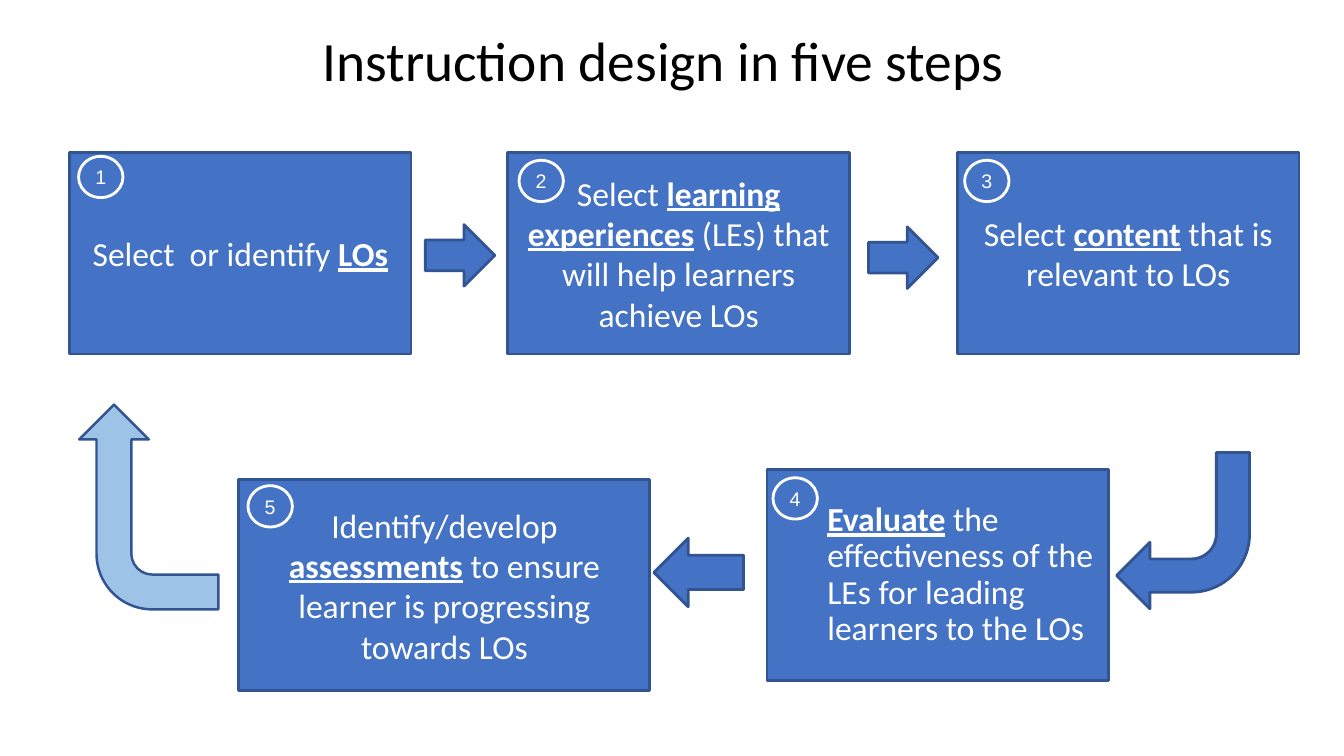
from dataclasses import dataclass

from pptx import Presentation
from pptx import util as u
from pptx.dml.color import RGBColor
from pptx.enum import shapes, text

Cm, Pt = u.Cm, u.Pt
Kind = shapes.MSO_SHAPE

BLUE = RGBColor(0x44, 0x72, 0xC4)
LIGHT_BLUE = RGBColor(0x9D, 0xC3, 0xE6)
OUTLINE = RGBColor(0x32, 0x54, 0x91)
WHITE = RGBColor(0xFF, 0xFF, 0xFF)
BLACK = RGBColor(0x00, 0x00, 0x00)


@dataclass
class Step:
    box: tuple[float, float, float, float]
    badge_offset: tuple[float, float]
    before: str
    key: str
    after: str = ""
    indented: bool = False


@dataclass
class Arrow:
    kind: Kind
    box: tuple[float, float, float, float]
    rotation: int = 0
    fill: RGBColor = BLUE
    line_width: float = 2
    bend: float | None = None


STEPS = [
    Step((1.75, 3.84, 8.61, 5.08), (0.23, 0.1), "Select  or identify ", "LOs"),
    Step((12.8, 3.84, 8.61, 5.08), (0.28, 0.2), "Select ", "learning experiences",
         " (LEs) that will help learners achieve LOs"),
    Step((24.13, 3.84, 8.61, 5.08), (0.18, 0.2), "Select ", "content",
         " that is relevant to LOs"),
    Step((19.33, 11.84, 8.61, 5.31), (0.15, 0.2), "", "Evaluate",
         " the effectiveness of the LEs for leading learners to the LOs", indented=True),
    Step((6.02, 12.09, 10.36, 5.31), (0.23, 0.15), "Identify/develop ", "assessments",
         " to ensure learner is progressing towards LOs"),
]

ARROWS = [
    Arrow(Kind.RIGHT_ARROW, (10.72, 5.66, 1.75, 1.55)),
    Arrow(Kind.RIGHT_ARROW, (21.89, 5.72, 1.75, 1.55)),
    Arrow(Kind.BENT_ARROW, (28.14, 11.4, 3.35, 3.94), rotation=180),
    Arrow(Kind.BENT_ARROW, (1.17, 11.02, 5.16, 3.51), rotation=270,
          fill=LIGHT_BLUE, line_width=1.75, bend=0.4),
    Arrow(Kind.LEFT_ARROW, (16.48, 13.56, 2.26, 1.73)),
]


def add_shape(s, kind: Kind, box: tuple, fill: RGBColor = BLUE,
              line: RGBColor = OUTLINE, line_width: float = 2):
    sp = s.shapes.add_shape(kind, *(Cm(v) for v in box))
    sp.shadow.inherit = False
    sp.fill.solid()
    sp.fill.fore_color.rgb = fill
    sp.line.color.rgb = line
    sp.line.width = Pt(line_width)
    return sp


def set_font(p, name: str, size: float, color: RGBColor) -> None:
    p.font.name = name
    p.font.size = Pt(size)
    p.font.color.rgb = color


def set_margins(tf, margin: int) -> None:
    tf.margin_left = tf.margin_right = tf.margin_top = tf.margin_bottom = margin


def add_step(s, number: int, step: Step) -> None:
    tf = add_shape(s, Kind.RECTANGLE, step.box).text_frame
    tf.word_wrap = True
    tf.vertical_anchor = text.MSO_ANCHOR.MIDDLE
    p = tf.paragraphs[0]
    p.alignment = text.PP_ALIGN.CENTER
    if step.indented:
        p.alignment = text.PP_ALIGN.LEFT
        p.line_spacing = 0.9
        p._p.get_or_add_pPr().set("marL", str(Cm(1.27)))
    set_font(p, "Calibri", 24, WHITE)
    for part in filter(None, (step.before, step.key, step.after)):
        r = p.add_run()
        r.text = part
        if part == step.key:
            r.font.bold = r.font.underline = True

    left, top = (a + b for a, b in zip(step.box, step.badge_offset))
    badge = add_shape(s, Kind.OVAL, (left, top, 1.12, 1.04), line=WHITE)
    tf = badge.text_frame
    set_margins(tf, 0)
    tf.word_wrap = False
    tf.vertical_anchor = text.MSO_ANCHOR.MIDDLE
    p = tf.paragraphs[0]
    p.text = str(number)
    p.alignment = text.PP_ALIGN.CENTER
    set_font(p, "Arial", 14, WHITE)


def add_arrow(s, arrow: Arrow) -> None:
    sp = add_shape(s, arrow.kind, arrow.box, arrow.fill, line_width=arrow.line_width)
    sp.rotation = arrow.rotation
    if arrow.bend is not None:
        sp.adjustments[3] = arrow.bend


def set_title(s, title: str) -> None:
    sp = s.shapes.title
    sp.left, sp.top, sp.width, sp.height = Cm(8.13), Cm(0.91), Cm(18.57), Cm(1.4)
    tf = sp.text_frame
    set_margins(tf, 0)
    tf.auto_size = text.MSO_AUTO_SIZE.NONE
    tf.vertical_anchor = text.MSO_ANCHOR.MIDDLE
    p = tf.paragraphs[0]
    p.text = title
    p.alignment = text.PP_ALIGN.LEFT
    p.line_spacing = 0.9
    set_font(p, "Calibri", 39.6, BLACK)


def main() -> None:
    prs = Presentation()
    prs.slide_width, prs.slide_height = Cm(33.87), Cm(19.05)
    s = prs.slides.add_slide(prs.slide_layouts[5])
    set_title(s, "Instruction design in five steps")
    for number, step in enumerate(STEPS, start=1):
        add_step(s, number, step)
    for arrow in ARROWS:
        add_arrow(s, arrow)
    prs.save("out.pptx")


if __name__ == "__main__":
    main()
